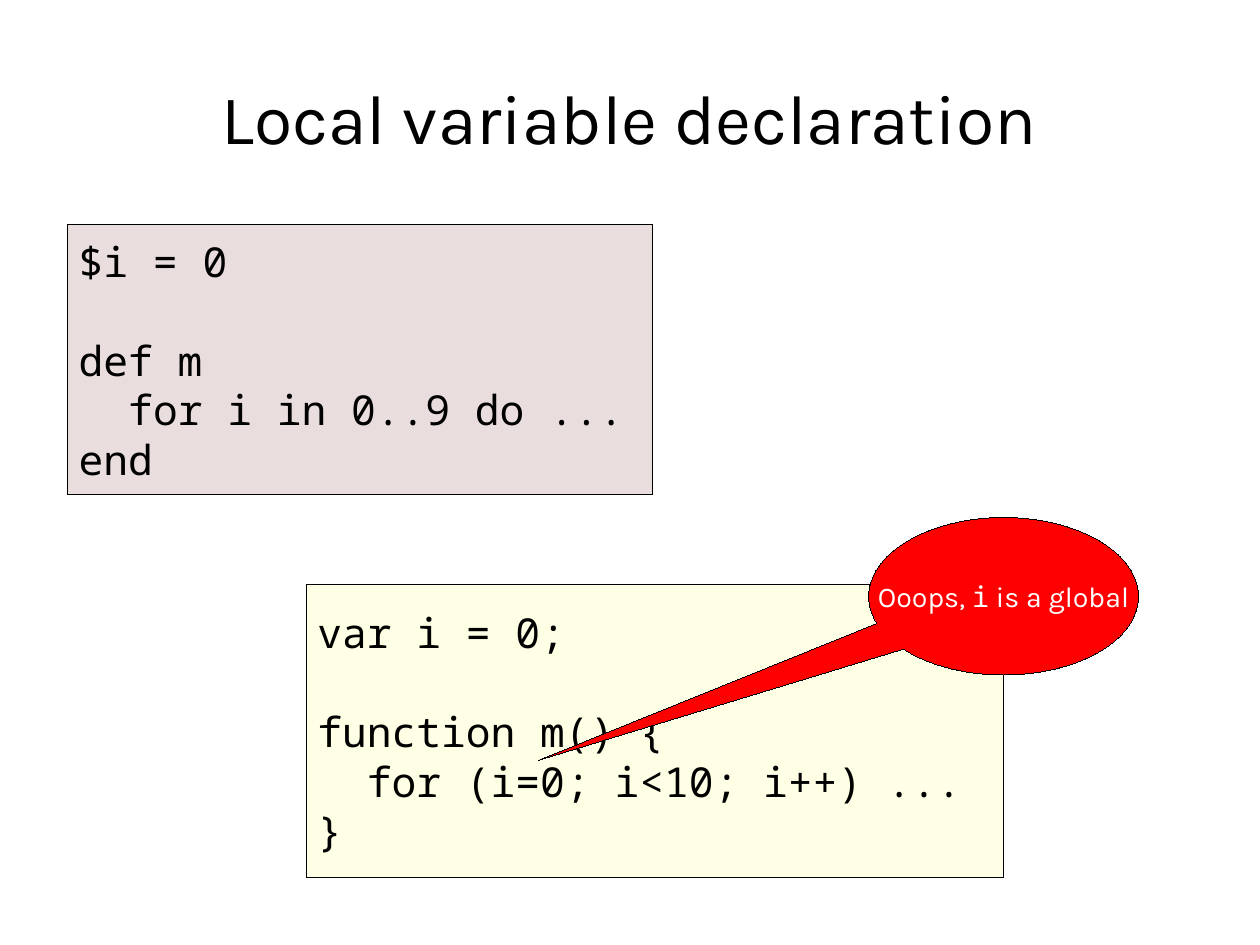
"""Build a slide comparing local variable declarations in two languages."""
from lxml.etree import SubElement
from pptx import Presentation
from pptx.dml.color import RGBColor
from pptx.enum.shapes import MSO_SHAPE
from pptx.enum.text import MSO_ANCHOR, PP_ALIGN
from pptx.oxml.ns import qn
from pptx.util import Pt

BLACK = RGBColor(0x00, 0x00, 0x00)
WHITE = RGBColor(0xFF, 0xFF, 0xFF)
RED = RGBColor(0xFF, 0x00, 0x00)
CREAM = RGBColor(0xFF, 0xFF, 0xCC)
ROSE = RGBColor(0xD6, 0xBC, 0xBC)
SANS = "Karla"
MONO = "Noto Sans Mono"
STEP = Pt(31.2)


def add_box(kind, left, top, width, height, fill):
    box = slide.shapes.add_shape(kind, Pt(left), Pt(top), Pt(width), Pt(height))
    box.shadow.inherit = False
    box.fill.solid()
    box.fill.fore_color.rgb = fill
    box.line.color.rgb = BLACK
    box.line.width = Pt(0.01)
    box.text_frame.vertical_anchor = MSO_ANCHOR.MIDDLE
    return box


def add_code(left, top, width, height, fill, lines):
    box = add_box(MSO_SHAPE.RECTANGLE, left, top, width, height, fill)
    color = box.fill._xPr.find(".//" + qn("a:srgbClr"))
    SubElement(color, qn("a:alpha")).set("val", "50000")
    frame = box.text_frame
    frame.word_wrap = True
    frame.text = "\n".join(lines)
    for para in frame.paragraphs:
        para.alignment = PP_ALIGN.LEFT
        para.font.name = MONO
        para.font.size = Pt(26)
        para.font.color.rgb = BLACK
    head, body = frame.paragraphs[1:3]
    head.space_before = STEP
    body._p.get_or_add_pPr().set("marL", str(STEP))


deck = Presentation()
deck.slide_width, deck.slide_height = Pt(793.7), Pt(595.28)
slide = deck.slides.add_slide(deck.slide_layouts[5])

title = slide.shapes.title
title.left, title.top = Pt(39.6), Pt(27.4)
title.width, title.height = Pt(714.2), Pt(92.2)
frame = title.text_frame
frame.text = "Local variable declaration"
frame.vertical_anchor = MSO_ANCHOR.MIDDLE
frame.margin_left = frame.margin_right = 0
frame.margin_top = frame.margin_bottom = 0
para = frame.paragraphs[0]
para.alignment = PP_ALIGN.CENTER
para.font.name = SANS
para.font.size = Pt(44)
para.font.color.rgb = BLACK

add_code(192.8, 368.4, 439.4, 184.4, CREAM,
         ["var i = 0;", "function m() {", "for (i=0; i<10; i++) ...", "}"])

note = add_box(MSO_SHAPE.OVAL_CALLOUT, 547.2, 326, 170, 99.2, RED)
note.adjustments[0] = -1.725
note.adjustments[1] = 1.042
note.text_frame.word_wrap = False
para = note.text_frame.paragraphs[0]
para.alignment = PP_ALIGN.CENTER
para.font.size = Pt(18)
para.font.color.rgb = WHITE
for text, face in [("Ooops, ", SANS), ("i", MONO), (" is a global", SANS)]:
    run = para.add_run()
    run.text = text
    run.font.name = face

add_code(42.5, 141.7, 368.6, 170, ROSE,
         ["$i = 0", "def m", "for i in 0..9 do ...", "end"])

deck.save("out.pptx")
